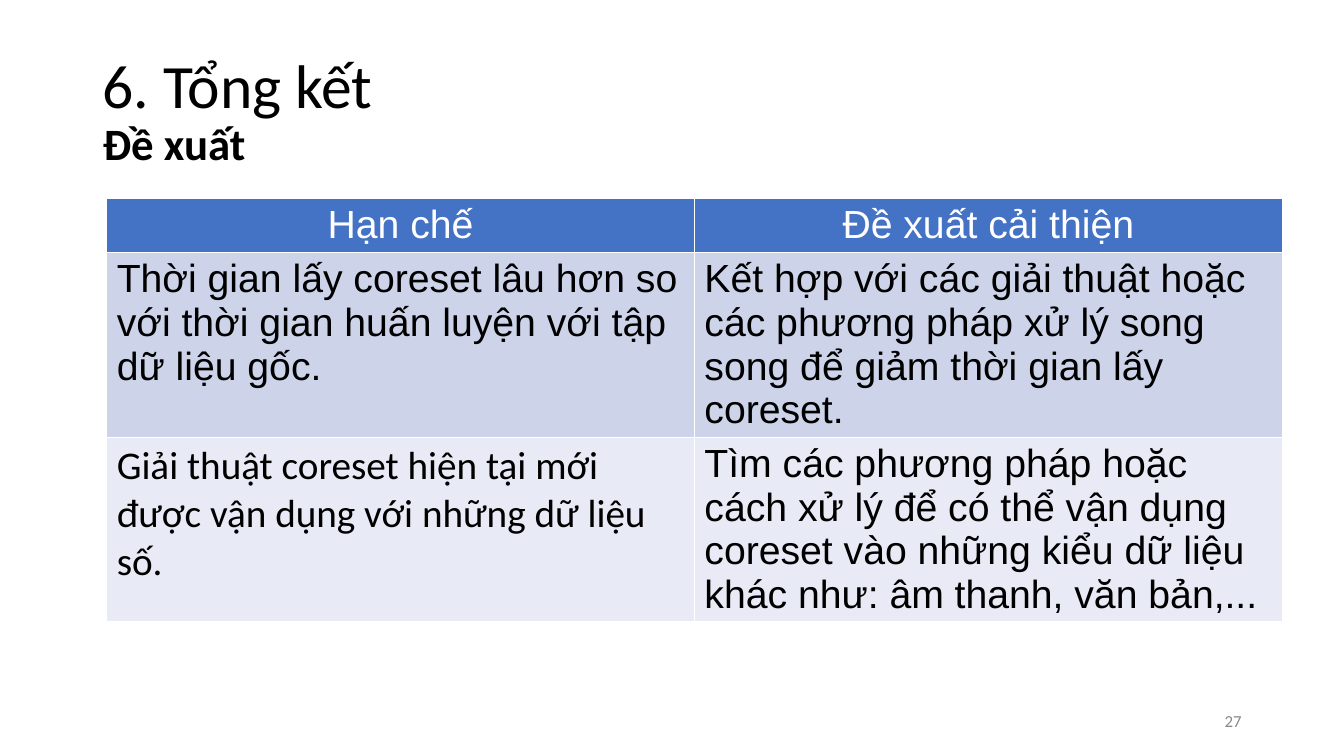
"""Build the summary slide with its table of limitations and proposals."""
from pptx import Presentation
from pptx import util as u
from pptx.dml.color import RGBColor
from pptx.enum import text

COLORS = {
    "black": "000000",
    "white": "FFFFFF",
    "grey": "888888",
    "header": "4472C4",
    "band_dark": "CDD4EA",
    "band_light": "E8EBF5",
}
ROWS = [
    ("Hạn chế", "Đề xuất cải thiện"),
    ("Thời gian lấy coreset lâu hơn so với thời gian huấn luyện với tập dữ liệu gốc.",
     "Kết hợp với các giải thuật hoặc các phương pháp xử lý song song để giảm thời gian lấy coreset."),
    ("Giải thuật coreset hiện tại mới được vận dụng với những dữ liệu số.",
     "Tìm các phương pháp hoặc cách xử lý để có thể vận dụng coreset vào những kiểu dữ liệu khác như: âm thanh, văn bản,..."),
]
ROW_FILLS = ["header", "band_dark", "band_light"]
ROW_HEIGHTS = [1.35, 4.65, 4.65]


def set_attrs(obj, **values):
    """Set each named value on the object."""
    for name, value in values.items():
        setattr(obj, name, value)


def add_run(p, words, size, font="Calibri", color="black", bold=False):
    """Add a formatted run to a paragraph."""
    r = p.add_run()
    r.text = words
    set_attrs(r.font, name=font, size=u.Pt(size), bold=bold)
    r.font.color.rgb = RGBColor.from_string(COLORS[color])


def add_title(s, heading, subheading):
    """Place the title with its subheading on a second line."""
    sp = s.shapes.title
    set_attrs(sp, left=u.Cm(2.33), top=u.Cm(1.01), width=u.Cm(29.21), height=u.Cm(3.68))
    set_attrs(sp.text_frame, word_wrap=True, auto_size=text.MSO_AUTO_SIZE.NONE,
              vertical_anchor=text.MSO_ANCHOR.MIDDLE)
    p = sp.text_frame.paragraphs[0]
    set_attrs(p, alignment=text.PP_ALIGN.LEFT, line_spacing=0.9)
    add_run(p, heading, 44)
    p.add_line_break()
    add_run(p, subheading, 32, bold=True)


def add_proposals(s):
    """Add the table pairing each limitation with a proposal."""
    table = s.shapes.add_table(len(ROWS), 2, u.Cm(2.69), u.Cm(5),
                               u.Cm(29.62), u.Cm(sum(ROW_HEIGHTS))).table
    for col in table.columns:
        col.width = u.Cm(14.81)
    for i, words in enumerate(ROWS):
        table.rows[i].height = u.Cm(ROW_HEIGHTS[i])
        for j, cell_text in enumerate(words):
            cell = table.cell(i, j)
            cell.fill.solid()
            cell.fill.fore_color.rgb = RGBColor.from_string(COLORS[ROW_FILLS[i]])
            p = cell.text_frame.paragraphs[0]
            p.alignment = text.PP_ALIGN.LEFT if i else text.PP_ALIGN.CENTER
            add_run(p, cell_text, 28, "Calibri" if (i, j) == (2, 0) else "Arial",
                    "black" if i else "white")


def add_page_number(s, number):
    """Add the page number at the lower right."""
    tf = s.shapes.add_textbox(u.Cm(23.92), u.Cm(17.66), u.Cm(7.62), u.Cm(1.01)).text_frame
    set_attrs(tf, word_wrap=True, vertical_anchor=text.MSO_ANCHOR.MIDDLE)
    p = tf.paragraphs[0]
    p.alignment = text.PP_ALIGN.RIGHT
    add_run(p, number, 12, color="grey")


def main():
    """Build and save the slide."""
    prs = Presentation()
    set_attrs(prs, slide_width=u.Cm(33.87), slide_height=u.Cm(19.05))
    s = prs.slides.add_slide(prs.slide_layouts[5])
    add_title(s, "6. Tổng kết", "Đề xuất")
    add_proposals(s)
    add_page_number(s, "27")
    prs.save("out.pptx")


if __name__ == "__main__":
    main()
